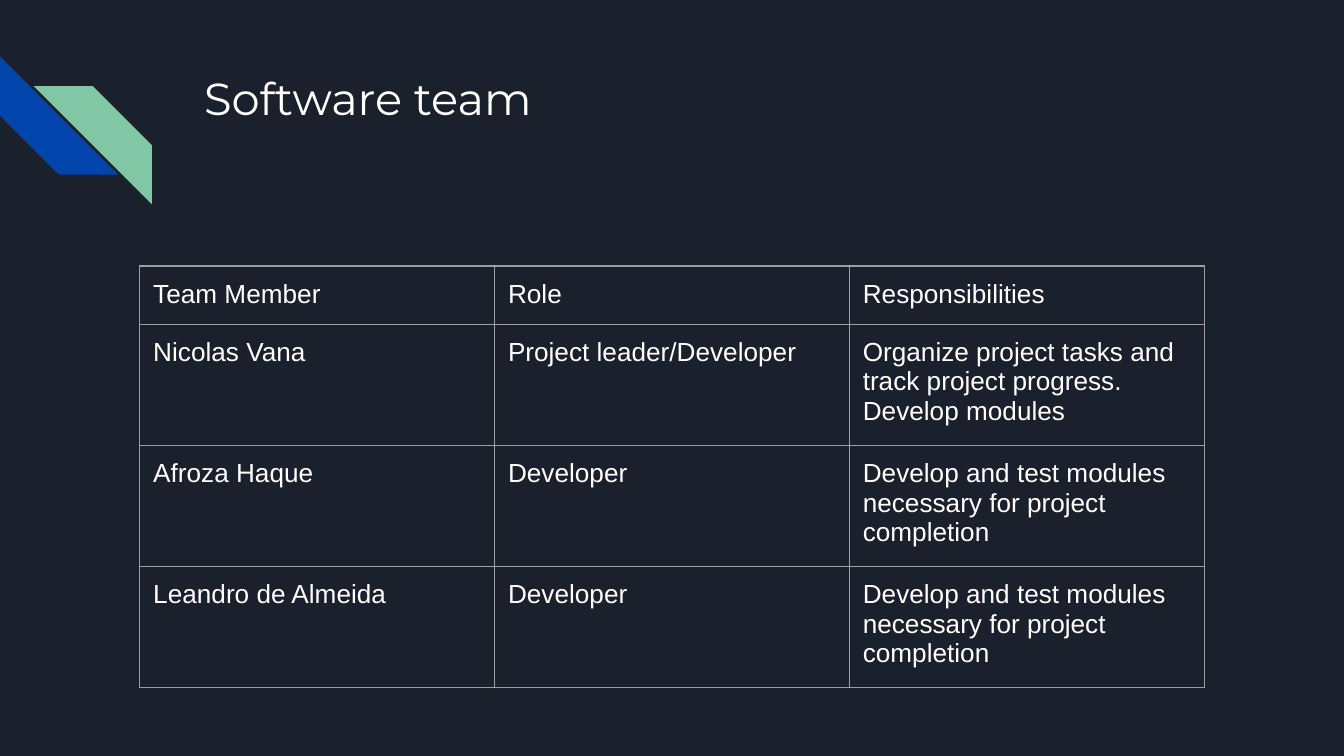
from dataclasses import dataclass

from lxml.etree import SubElement
from pptx import Presentation
from pptx.dml.color import RGBColor
from pptx.enum.shapes import MSO_SHAPE as Shape
from pptx.enum.text import MSO_ANCHOR as Anchor
from pptx.oxml.ns import qn
from pptx.slide import Slide
from pptx.table import _Cell as Cell
from pptx.text.text import TextFrame
from pptx.util import Inches, Pt

# Widescreen page, in inches
SLIDE_WIDTH = 10
SLIDE_HEIGHT = SLIDE_WIDTH * 9 / 16
BACKGROUND, WHITE, BORDER = "1B212C", "FFFFFF", "9E9E9E"
INSET = Inches(0.1)
STRIPE_SIZE = 0.88

# Table grid, in inches; rows grow with their text
TABLE_LEFT, TABLE_TOP = 1.04, 1.98
COLUMN_WIDTH, ROW_HEIGHT = 2.64, 0.42


@dataclass(frozen=True)
class Stripe:
    left: float
    top: float
    rotation: int
    color: str


@dataclass(frozen=True)
class Member:
    name: str
    role: str
    duties: str


STRIPES = [
    Stripe(0, 0.42, 270, "0145AC"),
    Stripe(0.25, 0.64, 90, "82C7A5"),
]
TEST_DUTIES = "Develop and test modules necessary for project completion"
ROWS = [
    Member("Team Member", "Role", "Responsibilities"),
    Member("Nicolas Vana", "Project leader/Developer",
           "Organize project tasks and track project progress. Develop modules"),
    Member("Afroza Haque", "Developer", TEST_DUTIES),
    Member("Leandro de Almeida", "Developer", TEST_DUTIES),
]


def rgb(color: str) -> RGBColor:
    return RGBColor.from_string(color)


def write(frame: TextFrame, text: str, font_name: str, size: int) -> None:
    para = frame.paragraphs[0]
    para.text = text
    para.font.name, para.font.size = font_name, Pt(size)
    para.font.color.rgb = rgb(WHITE)


def draw_stripe(page: Slide, stripe: Stripe) -> None:
    size = Inches(STRIPE_SIZE)
    shape = page.shapes.add_shape(
        Shape.DIAGONAL_STRIPE, Inches(stripe.left), Inches(stripe.top), size, size)
    shape.rotation = stripe.rotation
    shape.shadow.inherit = False
    shape.fill.solid()
    shape.fill.fore_color.rgb = rgb(stripe.color)
    shape.line.fill.background()


def draw_title(page: Slide, text: str) -> None:
    box = page.shapes.add_textbox(Inches(1.42), Inches(0.43), Inches(7.7), Inches(1))
    frame = box.text_frame
    frame.word_wrap = True
    frame.vertical_anchor = Anchor.TOP
    frame.margin_left = frame.margin_right = INSET
    frame.margin_top = frame.margin_bottom = INSET
    write(frame, text, "Montserrat", 24)


def draw_borders(cell: Cell) -> None:
    properties = cell._tc.get_or_add_tcPr()
    for side in ("a:lnL", "a:lnR", "a:lnT", "a:lnB"):
        line = SubElement(properties, qn(side), w=str(Pt(0.75)))
        fill = SubElement(line, qn("a:solidFill"))
        SubElement(fill, qn("a:srgbClr"), val=BORDER)


def fill_cell(cell: Cell, text: str) -> None:
    cell.margin_left = cell.margin_right = INSET
    cell.margin_top = cell.margin_bottom = INSET
    cell.vertical_anchor = Anchor.TOP
    draw_borders(cell)
    cell.fill.background()
    write(cell.text_frame, text, "Arial", 14)


def draw_table(page: Slide, members: list[Member]) -> None:
    table = page.shapes.add_table(
        len(members), 3, Inches(TABLE_LEFT), Inches(TABLE_TOP),
        Inches(3 * COLUMN_WIDTH), Inches(len(members) * ROW_HEIGHT)).table
    table.first_row = table.horz_banding = False
    for row, member in zip(table.rows, members):
        for cell, text in zip(row.cells, (member.name, member.role, member.duties)):
            fill_cell(cell, text)


def main() -> None:
    deck = Presentation()
    deck.slide_width, deck.slide_height = Inches(SLIDE_WIDTH), Inches(SLIDE_HEIGHT)
    page = deck.slides.add_slide(deck.slide_layouts[6])
    page.background.fill.solid()
    page.background.fill.fore_color.rgb = rgb(BACKGROUND)

    # Corner decoration
    for stripe in STRIPES:
        draw_stripe(page, stripe)

    # Heading and team table
    draw_title(page, "Software team")
    draw_table(page, ROWS)
    deck.save("out.pptx")


if __name__ == "__main__":
    main()
